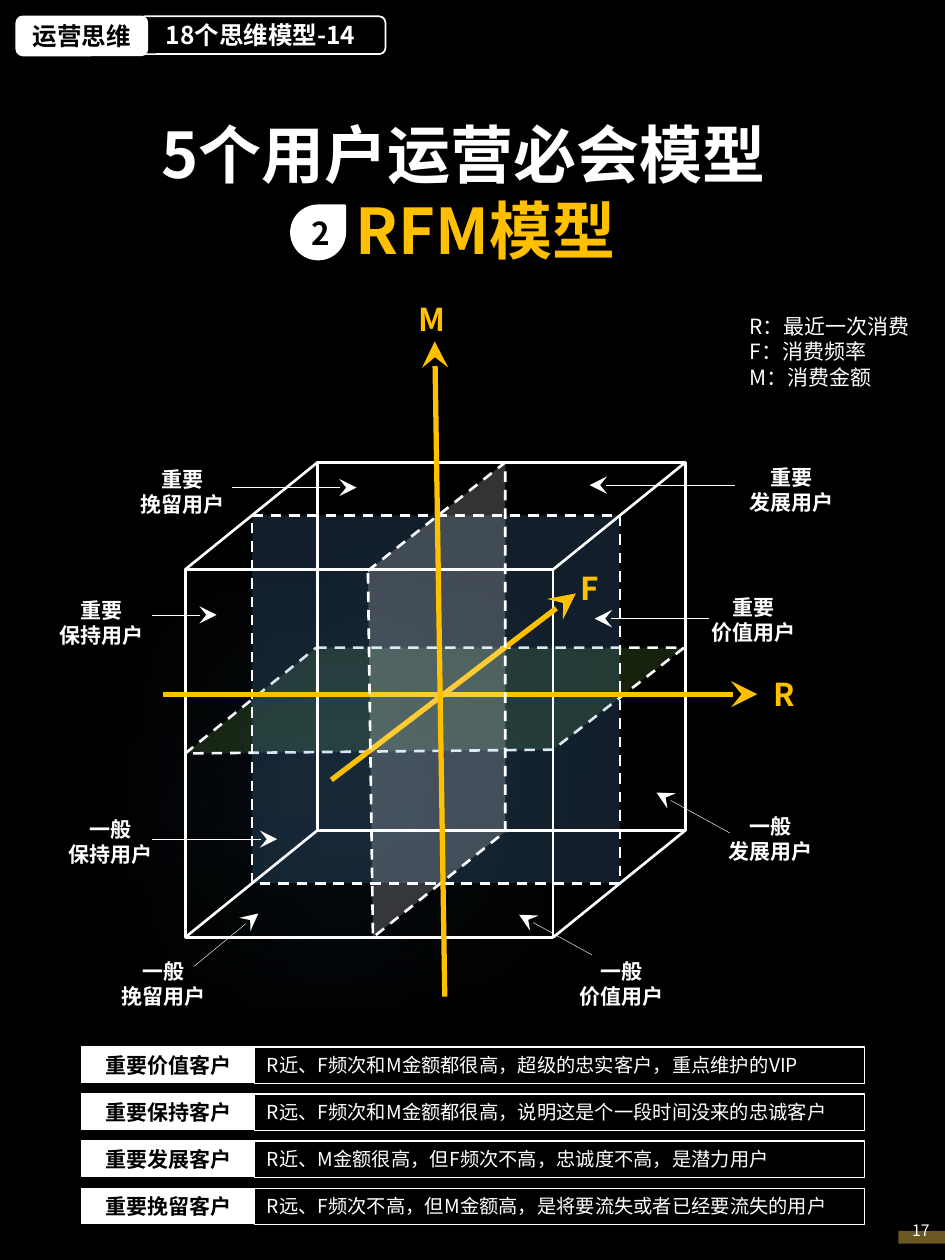
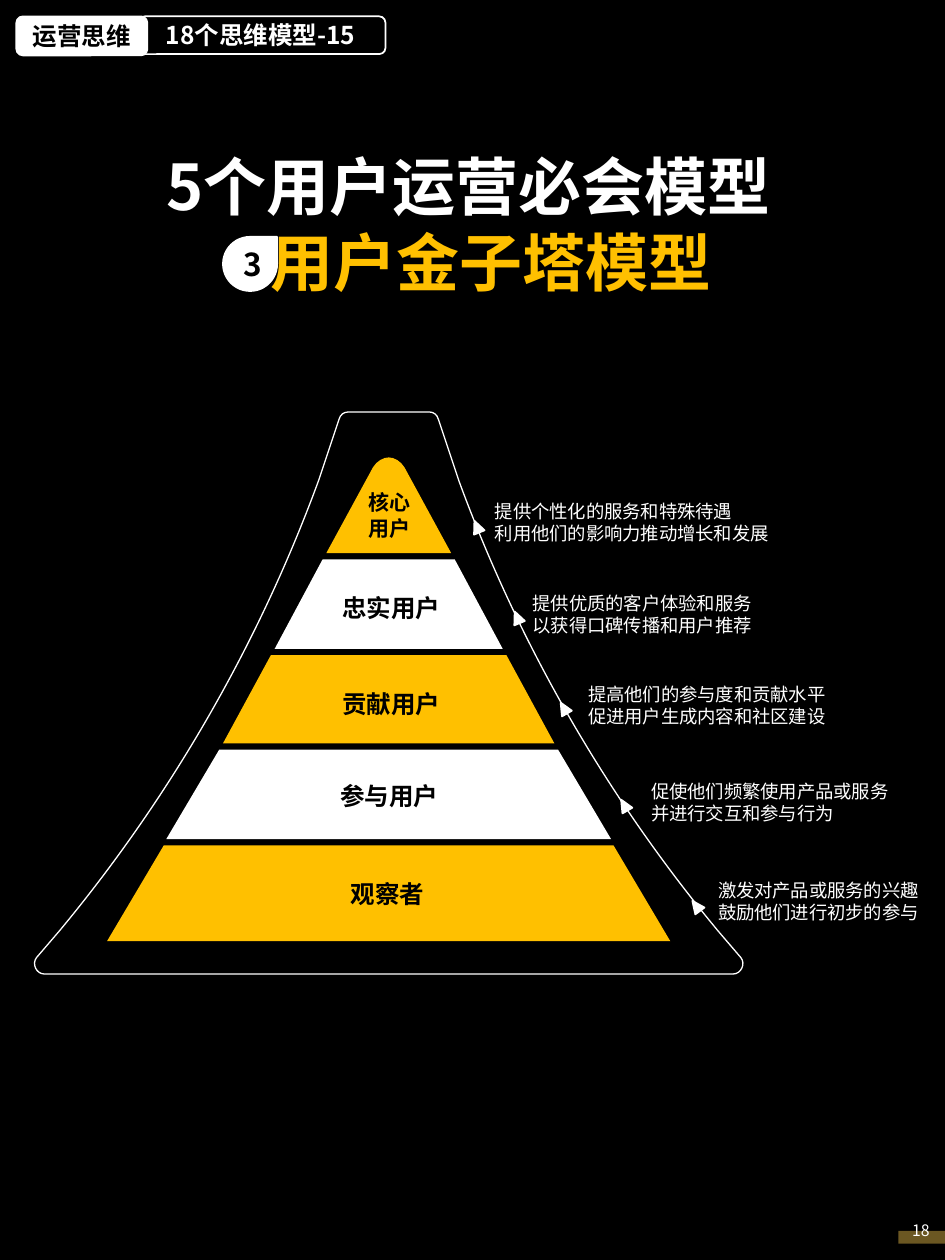
from typing import NamedTuple

from lxml import etree
from pptx import Presentation
from pptx.dml.color import RGBColor
from pptx.enum import dml, shapes, text
from pptx.oxml import ns
from pptx.util import Inches, Pt

BLACK = RGBColor(0x00, 0x00, 0x00)
WHITE = RGBColor(0xFF, 0xFF, 0xFF)
GOLD = RGBColor(0xFF, 0xC0, 0x00)
GREEN = RGBColor(0x70, 0xAD, 0x47)
BLUE = RGBColor(0x5B, 0x9B, 0xD5)
DARK_GOLD = RGBColor(0x6B, 0x57, 0x22)
FONT = "Noto Sans CJK SC"
NOTE_FONT = "Cabin"
LEFT, CENTER = text.PP_ALIGN.LEFT, text.PP_ALIGN.CENTER
TOP, MIDDLE = text.MSO_ANCHOR.TOP, text.MSO_ANCHOR.MIDDLE
RECT = shapes.MSO_SHAPE.RECTANGLE
ROUNDED = shapes.MSO_SHAPE.ROUNDED_RECTANGLE

Point = tuple[float, float]


class Box(NamedTuple):
    left: float
    top: float
    width: float
    height: float

    def inches(self) -> list[int]:
        return [Inches(value) for value in self]


class TextStyle(NamedTuple):
    size: float
    color: RGBColor = WHITE
    bold: bool = True
    align: text.PP_ALIGN = CENTER
    font: str = FONT


class Arrow(NamedTuple):
    start: Point
    tip: Point


class Segment(NamedTuple):
    """A user group with its label box and the arrow into its part of the cube."""
    label: str
    box: Box
    arrow: Arrow


class Tier(NamedTuple):
    """A pyramid layer, given by the two corners of its right edge."""
    label: str
    label_box: Box
    upper: Point
    lower: Point
    size: float = 14


class Advice(NamedTuple):
    lines: str
    box: Box
    marker: Point
    rotation: float


HEADER = TextStyle(14)
SEGMENT_LABEL = TextStyle(12)
BODY = TextStyle(12, bold=False, align=LEFT)
ROW_TEXT = TextStyle(11, bold=False, align=LEFT)
NOTE = TextStyle(10.5, bold=False, align=LEFT, font=NOTE_FONT)

SEGMENTS = [
    Segment("重要\n保持用户", Box(0.2, 4.69, 1.21, 0.5), Arrow((1.21, 4.88), (1.72, 4.88))),
    Segment("重要\n挽留用户", Box(0.84, 3.65, 1.21, 0.5), Arrow((1.84, 3.87), (2.83, 3.87))),
    Segment("一般\n挽留用户", Box(0.69, 7.56, 1.21, 0.5), Arrow((1.54, 7.67), (2.05, 7.25))),
    Segment("一般\n保持用户", Box(0.27, 6.43, 1.21, 0.5), Arrow((1.21, 6.66), (2.2, 6.66))),
    Segment("一般\n价值用户", Box(4.33, 7.56, 1.21, 0.5), Arrow((4.7, 7.58), (4.12, 7.26))),
    Segment("一般\n发展用户", Box(5.51, 6.41, 1.21, 0.5), Arrow((5.79, 6.61), (5.21, 6.29))),
    Segment("重要\n价值用户", Box(5.51, 4.67, 0.94, 0.5), Arrow((5.63, 4.91), (4.72, 4.91))),
    Segment("重要\n发展用户", Box(5.68, 3.64, 1.21, 0.5), Arrow((5.83, 3.85), (4.68, 3.85))),
]
CUSTOMER_ROWS = [
    ("重要价值客户", "R近、F频次和M金额都很高，超级的忠实客户，重点维护的VIP"),
    ("重要保持客户", "R远、F频次和M金额都很高，说明这是个一段时间没来的忠诚客户"),
    ("重要发展客户", "R近、M金额很高，但F频次不高，忠诚度不高，是潜力用户"),
    ("重要挽留客户", "R远、F频次不高，但M金额高，是将要流失或者已经要流失的用户"),
]
FIRST_ROW_TOP, LAST_ROW_TOP = 8.31, 9.43
PYRAMID_WIDTH_SUM = 6.17  # left edge plus right edge of every layer
TIERS = [
    Tier("核心\n用户", Box(2.81, 3.84, 0.56, 0.5), (3.21, 3.71), (3.58, 4.39), 12),
    Tier("忠实用户", Box(2.53, 4.66, 1.15, 0.34), (3.61, 4.44), (3.99, 5.15)),
    Tier("贡献用户", Box(2.53, 5.42, 1.15, 0.34), (4.02, 5.2), (4.4, 5.9)),
    Tier("参与用户", Box(2.44, 6.15, 1.3, 0.34), (4.43, 5.95), (4.85, 6.66)),
    Tier("观察者", Box(2.19, 6.93, 1.77, 0.34), (4.87, 6.71), (5.32, 7.47)),
]
ADVICE = [
    Advice("提供个性化的服务和特殊待遇\n利用他们的影响力推动增长和发展",
           Box(3.83, 3.92, 2.41, 0.45), (3.74, 4.13), 337.5),
    Advice("提供优质的客户体验和服务\n以获得口碑传播和用户推荐",
           Box(4.13, 4.65, 1.97, 0.45), (4.06, 4.85), 337.5),
    Advice("提高他们的参与度和贡献水平\n促进用户生成内容和社区建设",
           Box(4.57, 5.37, 2.12, 0.45), (4.43, 5.57), 330.3),
    Advice("促使他们频繁使用产品或服务\n并进行交互和参与行为",
           Box(5.07, 6.14, 2.12, 0.45), (4.91, 6.34), 330.3),
    Advice("激发对产品或服务的兴趣\n鼓励他们进行初步的参与",
           Box(5.6, 6.93, 1.82, 0.45), (5.48, 7.14), 323.3),
]


def write(frame, content: str, style: TextStyle, anchor=TOP) -> None:
    frame.word_wrap = True
    frame.auto_size = text.MSO_AUTO_SIZE.NONE
    frame.vertical_anchor = anchor
    frame.text = content
    for paragraph in frame.paragraphs:
        paragraph.alignment = style.align
        paragraph.font.name = style.font
        paragraph.font.size = Pt(style.size)
        paragraph.font.bold = style.bold
        paragraph.font.color.rgb = style.color


def add_text(slide, box: Box, content: str, style: TextStyle, wrap: bool = True) -> None:
    frame = slide.shapes.add_textbox(*box.inches()).text_frame
    write(frame, content, style)
    frame.word_wrap = wrap


def paint(shape, fill=None, line=None, width: float = 1, alpha: int = 100,
          dashed: bool = False, glow: bool = False) -> None:
    """Set fill, outline and effect; glow is a soft blue shadow to the lower left."""
    shape.shadow.inherit = False
    if fill is None:
        shape.fill.background()
    else:
        shape.fill.solid()
        shape.fill.fore_color.rgb = fill
        if alpha < 100:
            color = shape._element.spPr.find(ns.qn("a:solidFill"))[0]
            etree.SubElement(color, ns.qn("a:alpha"), val=str(alpha * 1000))
    if line is None:
        shape.line.fill.background()
    else:
        shape.line.color.rgb = line
        shape.line.width = Pt(width)
        if dashed:
            shape.line.dash_style = dml.MSO_LINE.DASH
    if glow:
        effects = shape._element.spPr.find(ns.qn("a:effectLst"))
        shadow = etree.SubElement(effects, ns.qn("a:outerShdw"), blurRad=str(Pt(74)),
                                  dist=str(Pt(72)), dir=str(135 * 60000))
        color = etree.SubElement(shadow, ns.qn("a:srgbClr"), val=str(BLUE))
        etree.SubElement(color, ns.qn("a:alpha"), val="16000")


def add_shape(slide, kind, box: Box, **look):
    shape = slide.shapes.add_shape(kind, *box.inches())
    paint(shape, **look)
    return shape


def add_badge(slide, kind, box: Box, content: str, size: float, width: float = 1):
    """Add a white shape with centred black text."""
    shape = add_shape(slide, kind, box, fill=WHITE, line=WHITE, width=width)
    write(shape.text_frame, content, TextStyle(size, BLACK), MIDDLE)
    return shape


def add_outline(slide, points: list[Point], **look):
    corners = [(Inches(x), Inches(y)) for x, y in points]
    builder = slide.shapes.build_freeform(*corners[0])
    builder.add_line_segments(corners[1:], close=True)
    shape = builder.convert_to_shape()
    paint(shape, **look)
    return shape


def add_curved_outline(slide, box: Box, points: list[Point], steps: list[int], **look) -> None:
    """Draw a closed path; each step takes one point (line) or three (cubic curve)."""
    right, bottom = box.left + box.width, box.top + box.height
    shape = add_outline(slide, [(box.left, box.top), (right, box.top), (right, bottom),
                                (box.left, bottom)], **look)
    path = next(shape._element.iter(ns.qn("a:path")))
    for child in list(path):
        path.remove(child)
    remaining = iter(points)
    for index, count in enumerate([1, *steps]):
        tag = "a:moveTo" if index == 0 else "a:lnTo" if count == 1 else "a:cubicBezTo"
        command = etree.SubElement(path, ns.qn(tag))
        for _ in range(count):
            x, y = next(remaining)
            etree.SubElement(command, ns.qn("a:pt"), x=str(Inches(x - box.left)),
                             y=str(Inches(y - box.top)))
    etree.SubElement(path, ns.qn("a:close"))


def mirrored(right_half: list[Point]) -> list[Point]:
    """Continue a right half, given top to bottom, with its reflection."""
    return right_half + [(PYRAMID_WIDTH_SUM - x, y) for x, y in reversed(right_half)]


def add_line(slide, start: Point, end: Point, color: RGBColor, width: float,
             arrow: bool = False) -> None:
    connector = slide.shapes.add_connector(
        shapes.MSO_CONNECTOR.STRAIGHT, *[Inches(value) for value in (*start, *end)])
    connector.line.color.rgb = color
    connector.line.width = Pt(width)
    if arrow:
        etree.SubElement(connector.line._get_or_add_ln(), ns.qn("a:tailEnd"),
                         type="stealth", w="lg", len="lg")
    etree.SubElement(connector._element.spPr, ns.qn("a:effectLst"))


def start_slide(presentation, title: str, number: str, title_at: Point, badge_at: Point):
    slide = presentation.slides.add_slide(presentation.slide_layouts[5])
    heading = slide.shapes.title
    heading.left, heading.top, heading.width, heading.height = Box(*title_at, 5.14, 1.31).inches()
    write(heading.text_frame, f"5个用户运营必会模型\n{title}", TextStyle(36))
    model_name = heading.text_frame.paragraphs[1]
    model_name.font.color.rgb = GOLD
    properties = model_name._p.get_or_add_pPr()
    properties.set("marL", str(Inches(0.35)))
    properties.set("indent", "0")
    add_badge(slide, shapes.MSO_SHAPE.TEAR, Box(*badge_at, 0.43, 0.43), number, 18)
    return slide


def add_header_and_page(slide, model_number: int, page: int) -> None:
    add_shape(slide, RECT, Box(7.13, 9.77, 0.37, 0.1), fill=DARK_GOLD)
    add_text(slide, Box(7.14, 9.64, 0.36, 0.25), str(page),
             TextStyle(9, bold=False, align=LEFT))
    series = add_shape(slide, ROUNDED, Box(1.1, 0.13, 1.96, 0.3), line=WHITE)
    write(series.text_frame, f"18个思维模型-{model_number}", HEADER._replace(align=LEFT), MIDDLE)
    series.text_frame.margin_left = Inches(0.2)
    add_badge(slide, ROUNDED, Box(0.13, 0.13, 1.04, 0.31), "运营思维", 14)


def draw_cube(slide) -> None:
    plane = dict(alpha=20, line=WHITE, width=1.5, dashed=True, glow=True)
    add_outline(slide, [(2.51, 5.14), (5.43, 5.14), (4.39, 5.95), (1.47, 5.98)],
                fill=GREEN, **plane)
    add_shape(slide, RECT, Box(2, 4.09, 2.92, 2.92), fill=BLUE, **plane)
    side, front, back = 2.92, (1.47, 4.52), (2.52, 3.67)
    for corner in (front, back):
        add_shape(slide, RECT, Box(*corner, side, side), line=WHITE, width=1.5, glow=True)
    for dx in (0, side):
        for dy in (0, side):
            add_line(slide, (front[0] + dx, front[1] + dy), (back[0] + dx, back[1] + dy),
                     WHITE, 1.5)
    add_line(slide, (2.63, 6.19), (4.57, 4.71), GOLD, 3, arrow=True)
    add_line(slide, (1.29, 5.51), (6.01, 5.51), GOLD, 3, arrow=True)
    add_outline(slide, [(2.92, 4.53), (4.01, 3.67), (4.01, 6.6), (2.96, 7.44)],
                fill=WHITE, **plane)
    add_line(slide, (3.53, 7.91), (3.45, 2.71), GOLD, 3, arrow=True)
    for name, left, top in (("M", 3.22, 2.33), ("F", 4.51, 4.47), ("R", 6.04, 5.31)):
        add_text(slide, Box(left, top, 0.43, 0.4), name, TextStyle(18, GOLD, align=LEFT))


def build_rfm_slide(presentation) -> None:
    slide = start_slide(presentation, "RFM模型", "2", (1.11, 0.87), (2.31, 1.63))
    draw_cube(slide)
    for segment in SEGMENTS:
        add_text(slide, segment.box, segment.label, SEGMENT_LABEL)
        add_line(slide, *segment.arrow, WHITE, 0.25, arrow=True)
    add_text(slide, Box(5.85, 2.44, 1.58, 0.71), "R：最近一次消费\nF：消费频率\nM：消费金额", BODY)
    row_pitch = (LAST_ROW_TOP - FIRST_ROW_TOP) / (len(CUSTOMER_ROWS) - 1)
    for index, (customer, description) in enumerate(CUSTOMER_ROWS):
        top = FIRST_ROW_TOP + row_pitch * index
        row = add_shape(slide, RECT, Box(2.02, top, 4.84, 0.29), line=WHITE, width=0.75)
        write(row.text_frame, description, ROW_TEXT)
        tag = add_badge(slide, ROUNDED, Box(0.65, top, 1.37, 0.28), customer, 12, width=0.75)
        tag.adjustments[0] = 0
    add_header_and_page(slide, 14, 17)


def build_pyramid_slide(presentation) -> None:
    slide = start_slide(presentation, "用户金子塔模型", "3", (1.15, 1.12), (1.77, 1.88))
    peak = TIERS[0]
    peak_half = [(3.08, 3.63), (3.13, 3.63), (3.18, 3.66), peak.upper, peak.lower]
    add_curved_outline(slide, Box(2.59, 3.63, 0.99, 0.76), mirrored(peak_half),
                       [3, 1, 1, 1, 3], fill=GOLD)
    for index, tier in enumerate(TIERS[1:]):
        add_outline(slide, mirrored([tier.upper, tier.lower]), fill=GOLD if index % 2 else WHITE)
    frame_half = [(3.41, 3.27), (3.44, 3.27), (3.47, 3.29), (3.48, 3.33), (3.64, 3.81),
                  (4.12, 5.12), (4.82, 6.33), (5.7, 7.39), (5.88, 7.6),
                  (5.92, 7.65), (5.88, 7.73), (5.82, 7.73)]
    half_steps = [3, 1, 3, 1, 3]
    add_curved_outline(slide, Box(0.27, 3.27, 5.62, 4.45), mirrored(frame_half),
                       [*half_steps, 1, *half_steps], line=WHITE, width=0.75)
    for tier in TIERS:
        add_text(slide, tier.label_box, tier.label, TextStyle(tier.size, BLACK))
    for advice in ADVICE:
        add_text(slide, advice.box, advice.lines, NOTE, wrap=False)
    for advice in ADVICE:
        marker = add_shape(slide, shapes.MSO_SHAPE.ISOSCELES_TRIANGLE,
                           Box(*advice.marker, 0.09, 0.1), fill=WHITE, line=WHITE, glow=True)
        marker.rotation = advice.rotation
    add_header_and_page(slide, 15, 18)


def main() -> None:
    presentation = Presentation()
    presentation.slide_width, presentation.slide_height = Inches(7.5), Inches(10)
    background = presentation.slide_master.background.fill
    background.solid()
    background.fore_color.rgb = BLACK
    build_rfm_slide(presentation)
    build_pyramid_slide(presentation)
    presentation.save("out.pptx")


if __name__ == "__main__":
    main()
